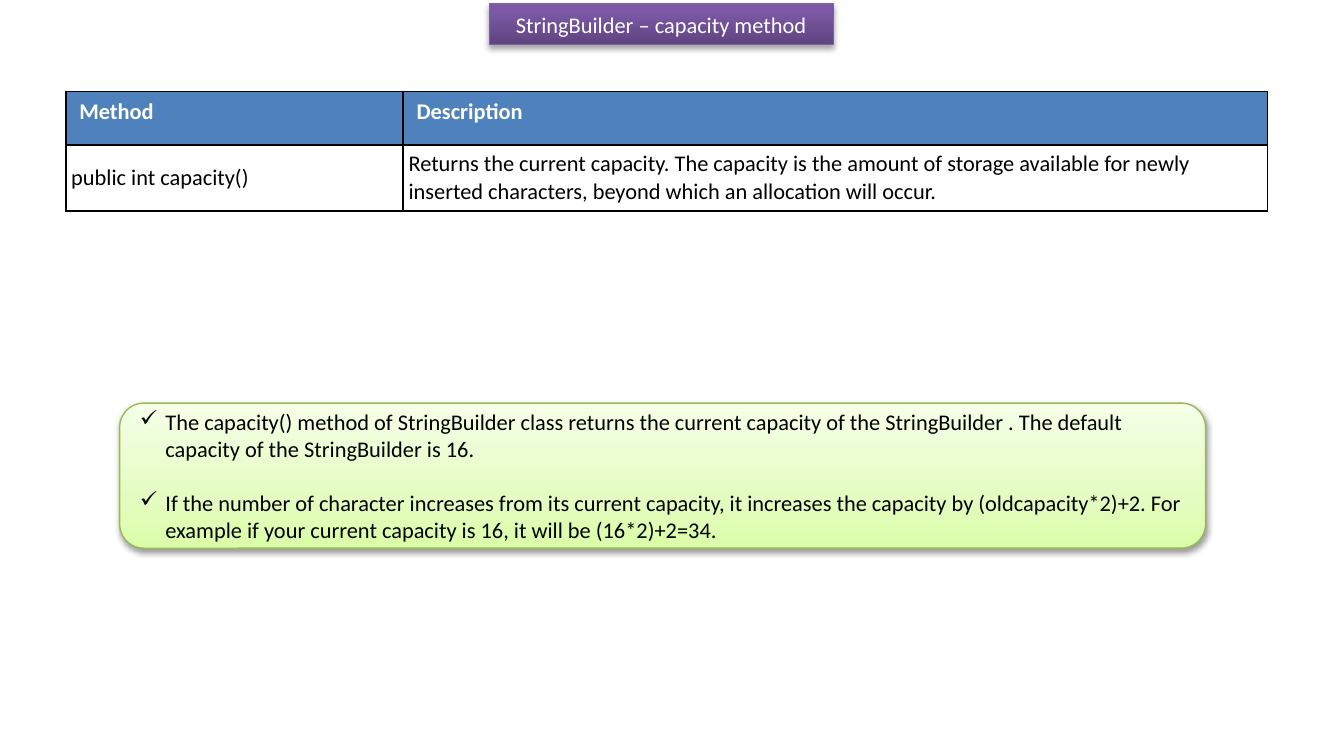
import copy

import lxml.etree
import pptx
import pptx.dml.color
import pptx.enum.shapes
import pptx.enum.text
import pptx.oxml.ns
import pptx.util

Inches = pptx.util.Inches
Pt = pptx.util.Pt
RGBColor = pptx.dml.color.RGBColor
Anchor = pptx.enum.text.MSO_ANCHOR
Align = pptx.enum.text.PP_ALIGN
qn = pptx.oxml.ns.qn

WHITE = RGBColor(0xFF, 0xFF, 0xFF)
BLACK = RGBColor(0, 0, 0)
HEADER_BLUE = RGBColor(0x4F, 0x81, 0xBD)
PURPLE_LINE = RGBColor(0x7D, 0x60, 0xA0)
GREEN_LINE = RGBColor(0x98, 0xB9, 0x55)
PURPLE_STOPS = [
    (0, RGBColor(0x5F, 0x44, 0x80)),
    (0.8, RGBColor(0x7B, 0x58, 0xA6)),
    (1, RGBColor(0x7C, 0x57, 0xA8)),
]
GREEN_STOPS = [
    (0, RGBColor(0xDA, 0xFD, 0xA7)),
    (0.35, RGBColor(0xE4, 0xFC, 0xC2)),
    (1, RGBColor(0xF5, 0xFF, 0xE7)),
]

TITLE = "StringBuilder – capacity method"
ROWS = [
    ("Method", "Description"),
    ("public int capacity()",
     "Returns the current capacity. The capacity is the amount of storage "
     "available for newly inserted characters, beyond which an allocation "
     "will occur."),
]
NOTES = [
    "The capacity() method of StringBuilder class returns the current capacity "
    "of the StringBuilder . The default capacity of the StringBuilder is 16.",
    "If the number of character increases from its current capacity, it "
    "increases the capacity by (oldcapacity*2)+2. For example if your current "
    "capacity is 16, it will be (16*2)+2=34.",
]


def add_span(para, text, color, bold=False):
    span = para.add_run()
    span.text = text
    span.font.name = "Calibri"
    span.font.size = Pt(12)
    span.font.bold = bold
    span.font.color.rgb = color


def style_panel(shape, stops, line_color, shadow_alpha, shadow_distance):
    """Give a shape an upward gradient, a thin outline and a soft shadow."""
    shape.fill.gradient()
    shape.fill.gradient_angle = 90
    stop_list = shape._element.spPr.find(".//" + qn("a:gsLst"))
    while len(stop_list) < len(stops):
        stop_list.append(copy.deepcopy(stop_list[0]))
    for stop, (position, color) in zip(shape.fill.gradient_stops, stops):
        stop.position = position
        stop.color.rgb = color

    shape.line.color.rgb = line_color
    shape.line.width = Pt(0.75)

    shape.shadow.inherit = False
    effects = shape._element.spPr.find(qn("a:effectLst"))
    shadow = lxml.etree.SubElement(
        effects, qn("a:outerShdw"), blurRad=str(Pt(3.1)),
        dist=str(Pt(shadow_distance)), dir="5400000", rotWithShape="0")
    tint = lxml.etree.SubElement(shadow, qn("a:srgbClr"), val=str(BLACK))
    lxml.etree.SubElement(tint, qn("a:alpha"), val=str(shadow_alpha * 1000))


def set_borders(cell):
    properties = cell._tc.get_or_add_tcPr()
    for index, side in enumerate(("a:lnL", "a:lnR", "a:lnT", "a:lnB")):
        line = lxml.etree.Element(qn(side), w=str(Pt(1)))
        fill = lxml.etree.SubElement(line, qn("a:solidFill"))
        lxml.etree.SubElement(fill, qn("a:srgbClr"), val=str(BLACK))
        properties.insert(index, line)


def place_title(page, left, top, width, height):
    title = page.shapes.title
    title.left, title.top, title.width, title.height = left, top, width, height
    style_panel(title, PURPLE_STOPS, PURPLE_LINE, 35, 1.8)
    frame = title.text_frame
    frame.word_wrap = True
    frame.auto_size = pptx.enum.text.MSO_AUTO_SIZE.NONE
    frame.vertical_anchor = Anchor.TOP
    para = frame.paragraphs[0]
    para.alignment = Align.CENTER
    add_span(para, TITLE, WHITE)


def add_method_table(page, left, top, width, height):
    table = page.shapes.add_table(2, 2, left, top, width, height).table
    table.columns[0].width = Inches(2.51)
    table.columns[1].width = width - Inches(2.51)
    table.rows[0].height = Inches(0.4)
    table.rows[1].height = height - Inches(0.4)
    for row, texts in enumerate(ROWS):
        is_header = row == 0
        for column, text in enumerate(texts):
            cell = table.cell(row, column)
            cell.fill.solid()
            cell.fill.fore_color.rgb = HEADER_BLUE if is_header else WHITE
            set_borders(cell)
            if not is_header:
                cell.vertical_anchor = Anchor.MIDDLE
                cell.margin_left = cell.margin_right = Inches(0.04)
                cell.margin_top = cell.margin_bottom = Inches(0.04)
            add_span(cell.text_frame.paragraphs[0], text,
                     WHITE if is_header else BLACK, is_header)


def add_notes_panel(page, left, top, width, height):
    panel = page.shapes.add_shape(
        pptx.enum.shapes.MSO_SHAPE.ROUNDED_RECTANGLE, left, top, width, height)
    style_panel(panel, GREEN_STOPS, GREEN_LINE, 38, 1.6)
    frame = panel.text_frame
    frame.word_wrap = True
    frame.vertical_anchor = Anchor.MIDDLE
    for index, text in enumerate(NOTES):
        para = frame.add_paragraph() if index else frame.paragraphs[0]
        para.alignment = Align.LEFT
        properties = para._p.get_or_add_pPr()
        properties.set("marL", str(Inches(0.19)))
        properties.set("indent", str(-Inches(0.19)))
        lxml.etree.SubElement(properties, qn("a:buChar"), char="✓")
        if index:
            para.space_before = Pt(14.6)
        add_span(para, text, BLACK)


def main():
    deck = pptx.Presentation()
    deck.slide_width = Inches(10)
    deck.slide_height = Inches(5.5)
    page = deck.slides.add_slide(deck.slide_layouts.get_by_name("Title Only"))
    place_title(page, Inches(3.64), Inches(0.03), Inches(2.56), Inches(0.3))
    add_method_table(page, Inches(0.49), Inches(0.68), Inches(8.94), Inches(0.89))
    add_notes_panel(page, Inches(0.89), Inches(3), Inches(8.08), Inches(1.08))
    deck.save("out.pptx")


if __name__ == "__main__":
    main()
